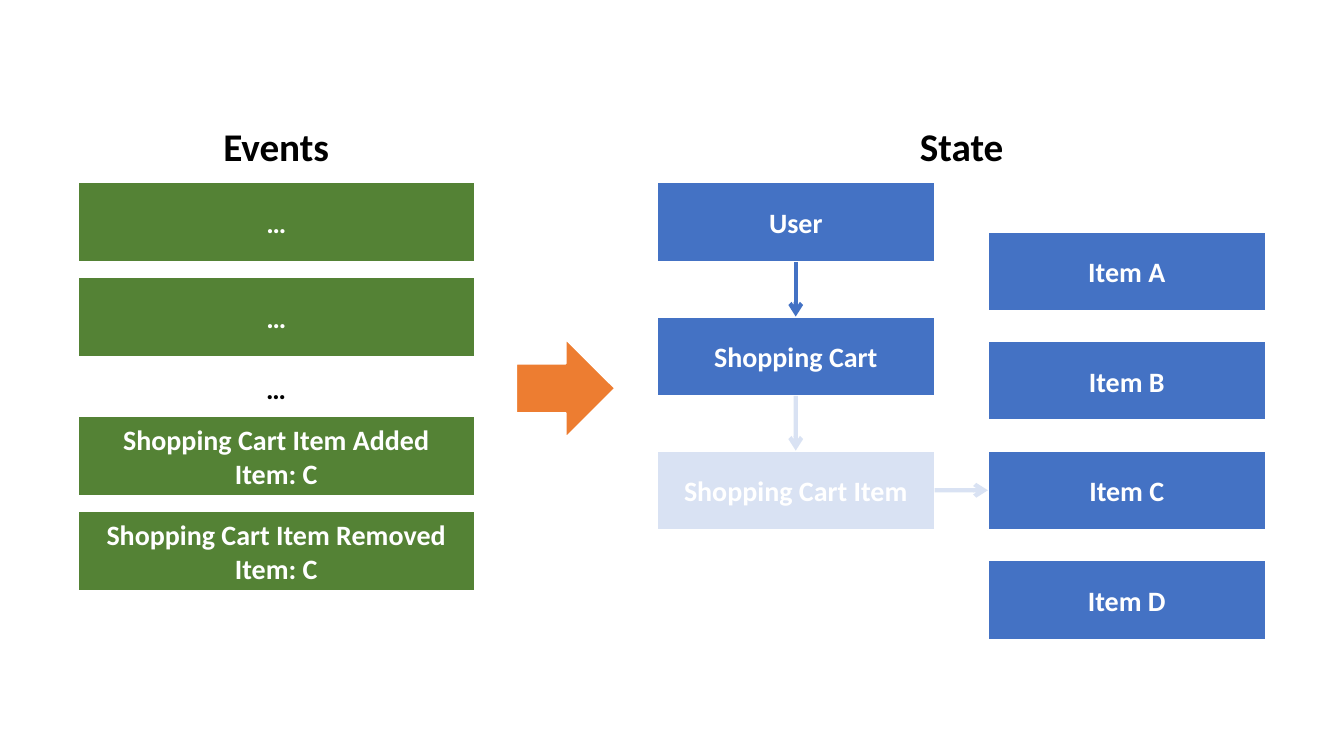
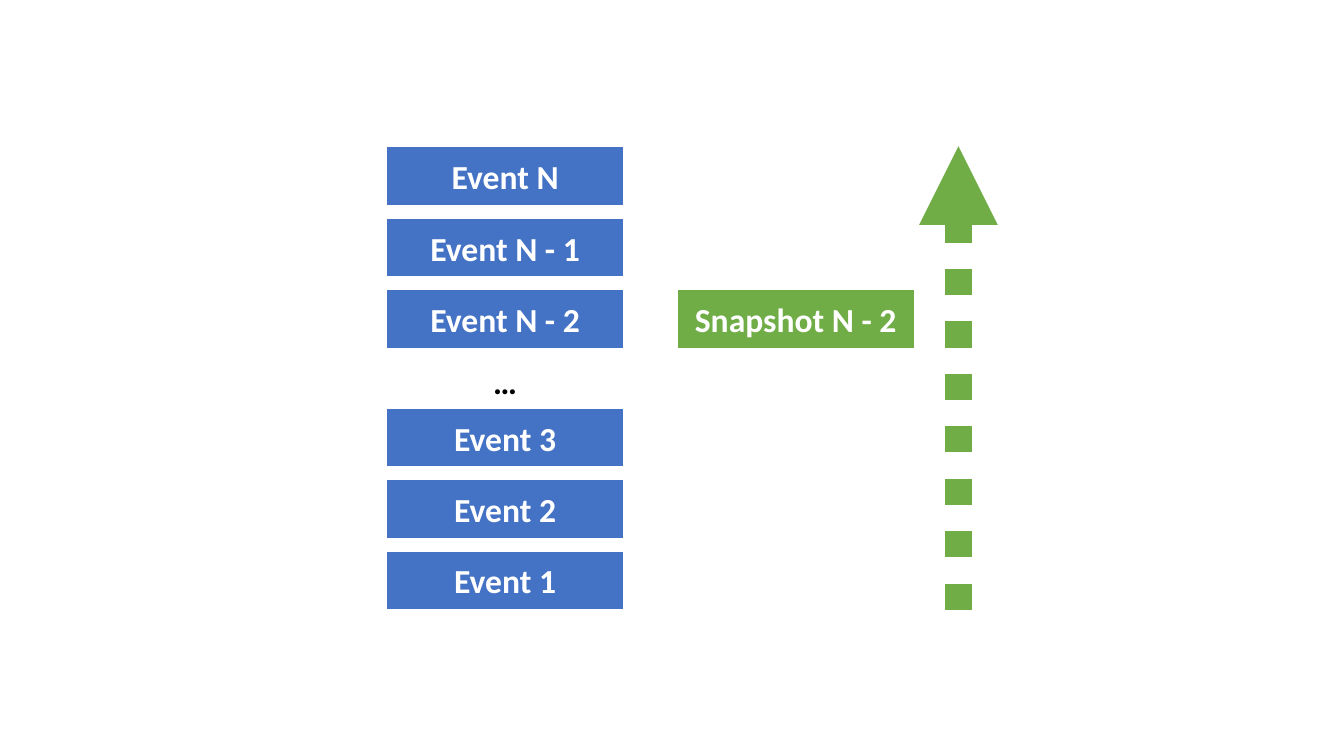
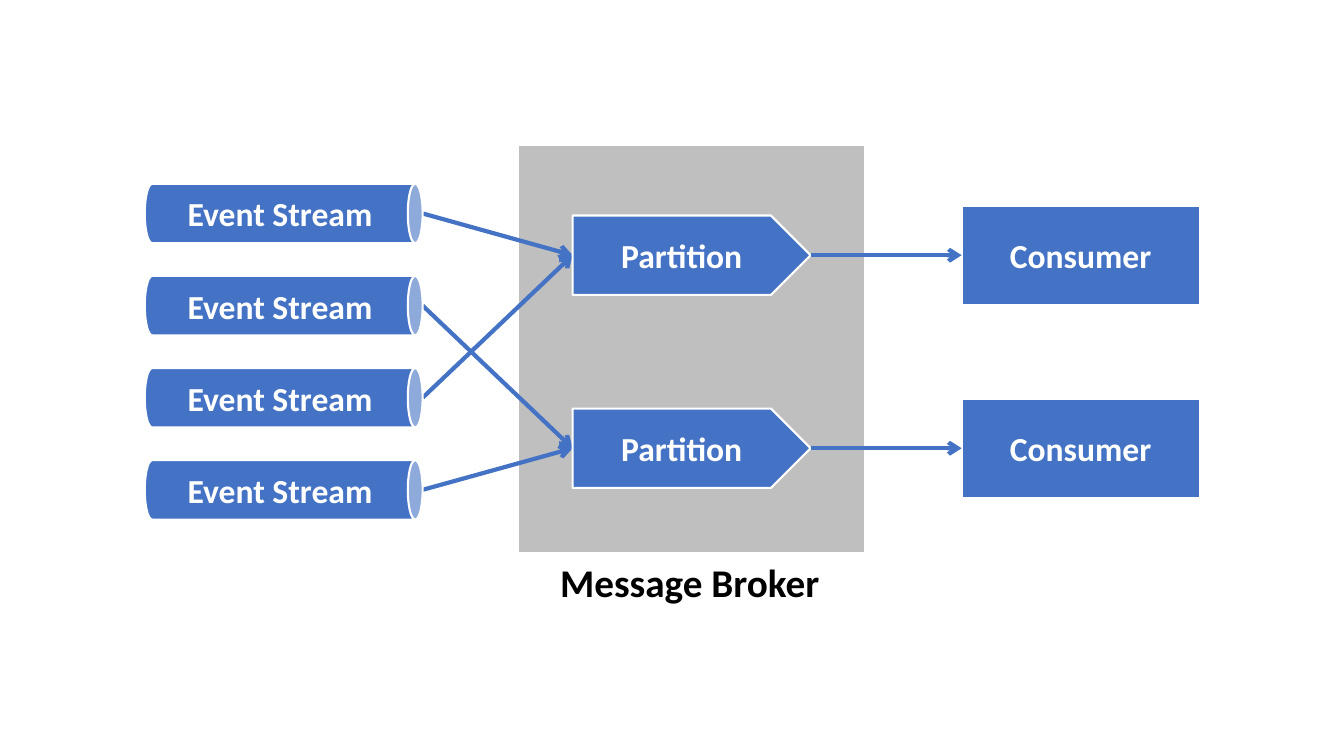
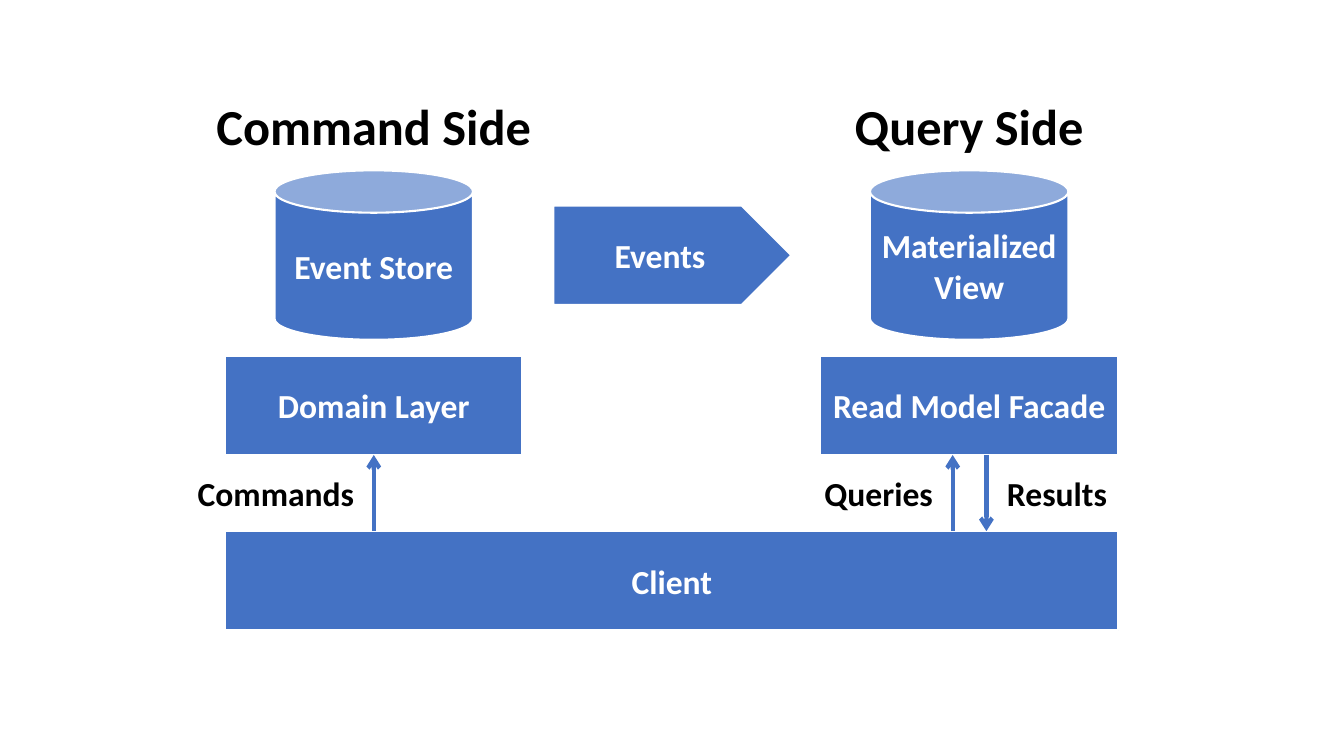
from lxml import etree
from pptx import Presentation
from pptx.dml import color
from pptx.enum import dml, shapes, text
from pptx.oxml import ns
from pptx.util import Pt

BLUE, GREEN, LEAF = "4472C4", "548235", "70AD47"
ORANGE, GREY, WHITE, BLACK = "ED7D31", "BFBFBF", "FFFFFF", "000000"
FONT = "Calibri"
RECT, CAN = shapes.MSO_SHAPE.RECTANGLE, shapes.MSO_SHAPE.CAN
PLATE, BLOCK_ARROW = shapes.MSO_SHAPE.PENTAGON, shapes.MSO_SHAPE.RIGHT_ARROW
CENTER, LEFT, RIGHT = text.PP_ALIGN.CENTER, text.PP_ALIGN.LEFT, text.PP_ALIGN.RIGHT
rgb = color.RGBColor.from_string


def place(slide, at, caption, size, fill=None, kind=RECT, align=CENTER, inset=7.2):
    area = [Pt(length) for length in at]
    if fill:
        part = slide.shapes.add_shape(kind, *area)
        part.shadow.inherit = False
        part.fill.solid()
        part.fill.fore_color.rgb = rgb(fill)
        part.line.color.rgb = rgb(WHITE)
        part.line.width = Pt(1.5)
    else:
        part = slide.shapes.add_textbox(*area)
    frame = part.text_frame
    frame.word_wrap = bool(fill)
    frame.vertical_anchor = text.MSO_ANCHOR.MIDDLE
    frame.margin_left = frame.margin_right = Pt(inset)
    paragraph = frame.paragraphs[0]
    paragraph.alignment = align
    for number, words in enumerate(caption.split("\n") if caption else []):
        if number:
            paragraph.add_line_break()
        run = paragraph.add_run()
        run.text = words
        run.font.name = FONT
        run.font.size = Pt(size)
        run.font.bold = True
        run.font.color.rgb = rgb(WHITE if fill else BLACK)
    return part


def connect(slide, x1, y1, x2, y2, tint=BLUE, width=3, head="arrow", dash=None):
    link = slide.shapes.add_connector(
        shapes.MSO_CONNECTOR.STRAIGHT, Pt(x1), Pt(y1), Pt(x2), Pt(y2))
    link.line.color.rgb = rgb(tint)
    link.line.width = Pt(width)
    if dash:
        link.line.dash_style = dash
    properties = link._element.spPr
    etree.SubElement(properties.find(ns.qn("a:ln")), ns.qn("a:tailEnd"), type=head)
    etree.SubElement(properties, ns.qn("a:effectLst"))
    return link


deck = Presentation()
deck.slide_width, deck.slide_height = Pt(960), Pt(540)
blank = deck.slide_layouts[6]

# Events and state
cart = deck.slides.add_slide(blank)
for heading, left, width in (("Events", 152, 90.5), ("State", 649.4, 75)):
    place(cart, (left, 83.5, width, 41), heading, 28)
for event, top in (("…", 130.3), ("…", 198.2),
                   ("Shopping Cart Item Added\nItem: C", 297.4),
                   ("Shopping Cart Item Removed\nItem: C", 365.3)):
    place(cart, (55.6, top, 283.5, 56.7), event, 20, GREEN)
place(cart, (182.9, 261.4, 28.8, 31.7), "…", 20)
place(cart, (368.6, 241.9, 70.9, 70.9), "", 20, ORANGE, BLOCK_ARROW)
for row, item in enumerate("ABCD"):
    place(cart, (705.6, 165.4 + 78.3 * row, 198.5, 56.7), f"Item {item}", 20, BLUE)
for row, entity in enumerate(("User", "Shopping Cart", "Shopping Cart Item")):
    cart_item = place(cart, (469.2, 130.3 + 95.8 * row, 198.5, 56.7), entity, 20, BLUE)
connect(cart, 568.4, 187, 568.4, 226.1)
to_cart_item = connect(cart, 568.4, 282.8, 568.4, 321.9)
to_item_c = connect(cart, 667.7, 350.2, 705.6, 350.2)
for removed in (cart_item, to_cart_item, to_item_c):
    tint = removed._element.spPr.find(".//" + ns.qn("a:srgbClr"))
    etree.SubElement(tint, ns.qn("a:alpha"), val="20000")

# Snapshot
snapshot = deck.slides.add_slide(blank)
connect(snapshot, 684.6, 435.6, 684.6, 104.4, LEAF, 18.75, "triangle",
        dml.MSO_LINE.ROUND_DOT)
for first_top, names in ((104.6, ("N", "N - 1", "N - 2")), (291.4, ("3", "2", "1"))):
    for row, name in enumerate(names):
        place(snapshot, (275.8, first_top + 51 * row, 170, 42.5),
              f"Event {name}", 24, BLUE)
place(snapshot, (344.9, 254.2, 31.7, 36), "…", 24)
place(snapshot, (483.4, 206.6, 170, 42.5), "Snapshot N - 2", 24, LEAF)

# Message broker
broker = deck.slides.add_slide(blank)
place(broker, (370, 103.8, 247.9, 291.6), "", 24, GREY)
place(broker, (393.1, 395.3, 201.6, 41), "Message Broker", 28, align=LEFT)
lanes = (182.3, 320.2)
for row in range(4):
    middle = 152.5 + 65.8 * row
    connect(broker, 301.9, middle, 409, lanes[row % 2])
    stream = place(broker, (181.4, middle - 99.25, 42.5, 198.5),
                   "Event Stream", 24, BLUE, CAN)
    stream.rotation = 90
    stream.text_frame._txBody.bodyPr.set("vert", "vert270")
for lane in lanes:
    place(broker, (409, lane - 28.35, 170, 56.7), "Partition", 24, BLUE, PLATE)
    place(broker, (686.9, lane - 35.45, 170, 70.9), "Consumer", 24, BLUE)
    connect(broker, 579, lane, 686.9, lane)

# Command and query sides
sides = deck.slides.add_slide(blank)
for center, side, width, store, layer in (
        (267, "Command Side", 242, "Event Store", "Domain Layer"),
        (692.3, "Query Side", 180, "Materialized\nView", "Read Model Facade")):
    place(sides, (center - width / 2, 64.1, width, 51), side, 36)
    place(sides, (center - 70.9, 121.7, 141.8, 121), store, 24, BLUE, CAN)
    place(sides, (center - 106.3, 254.2, 212.6, 70.9), layer, 24, BLUE)
place(sides, (395.3, 146.9, 170, 70.9), "Events", 24, BLUE, PLATE)
place(sides, (161, 379.4, 637.8, 70.9), "Client", 24, BLUE)
for message, left, width, align, x, start, end in (
        ("Commands", 125.8, 141.6, RIGHT, 267, 379.4, 325),
        ("Queries", 573.5, 107.3, RIGHT, 680.5, 379.4, 325),
        ("Results", 704.9, 100.8, LEFT, 704.6, 325, 379.4)):
    place(sides, (left, 334.1, width, 36), message, 24, align=align, inset=14.4)
    connect(sides, x, start, x, end)

deck.save("out.pptx")
